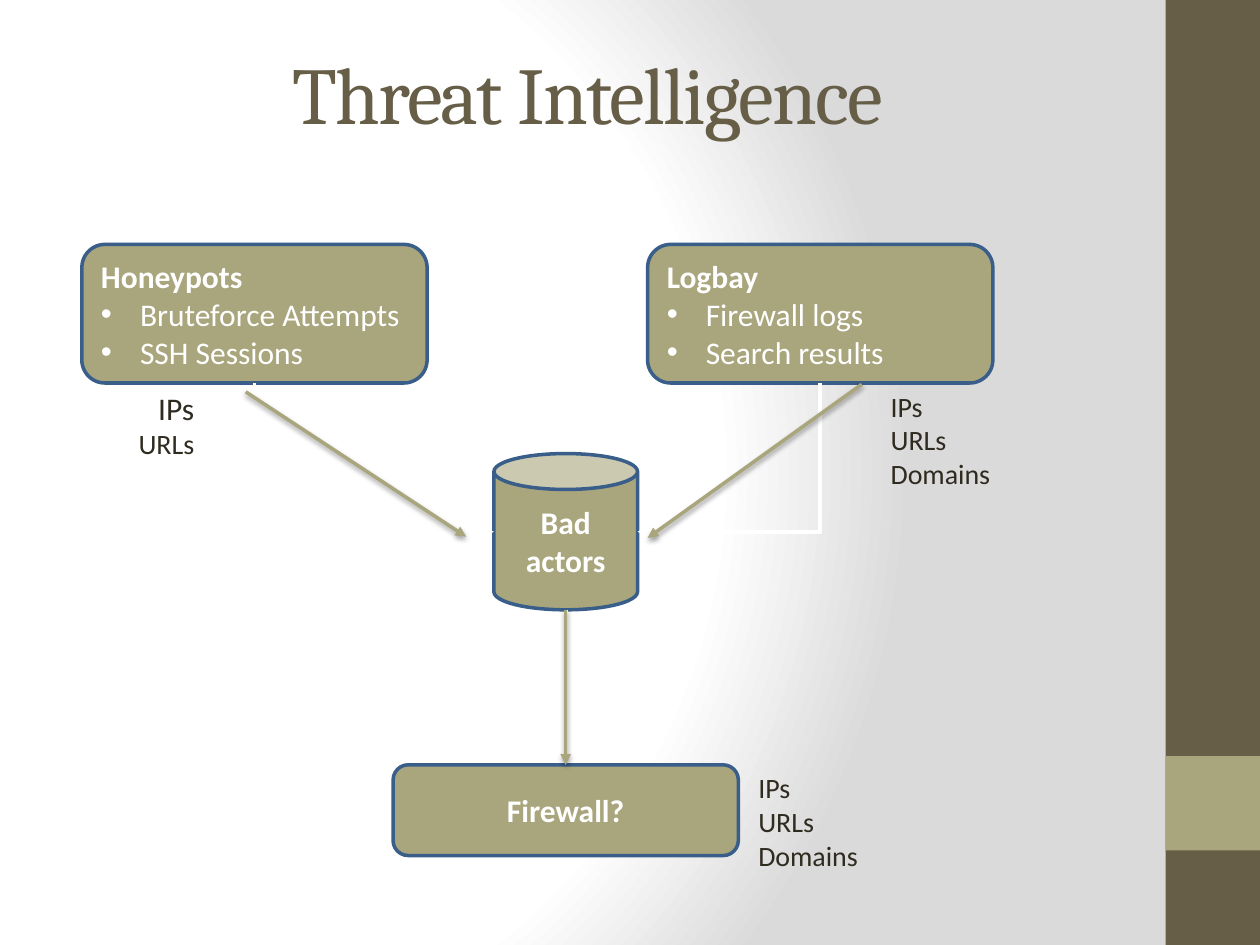
import pptx
import pptx.util
import pptx.dml.color
import pptx.enum.shapes
import pptx.enum.text
import pptx.oxml
import pptx.oxml.ns

Inches, Pt = pptx.util.Inches, pptx.util.Pt
RGB = pptx.dml.color.RGBColor
SHAPE = pptx.enum.shapes.MSO_SHAPE
LINK = pptx.enum.shapes.MSO_CONNECTOR
ALIGN = pptx.enum.text.PP_ALIGN
ANCHOR = pptx.enum.text.MSO_ANCHOR
qn = pptx.oxml.ns.qn
NS = pptx.oxml.ns.nsdecls("a")

BROWN = RGB(0x67, 0x5E, 0x47)
OLIVE = RGB(0xA9, 0xA5, 0x7C)
BLUE = RGB(0x39, 0x5E, 0x89)
INK = RGB(0x2F, 0x2B, 0x20)
WHITE = RGB(0xFF, 0xFF, 0xFF)
GREY = RGB(0xDA, 0xDA, 0xDA)


def xml(text):
    return pptx.oxml.parse_xml(text)


def style(para, size, color, bold=False, face="Calibri"):
    for run in para.runs:
        font = run.font
        font.name, font.size, font.bold = face, Pt(size), bold
        font.color.rgb = color


def backdrop(slide):
    slide.background.fill.solid()
    prop = slide.element.find(".//" + qn("p:bgPr"))
    stops = "".join(
        f'<a:gs pos="{pos}"><a:srgbClr val="{color}"/></a:gs>'
        for pos, color in ((0, WHITE), (75000, WHITE), (100000, GREY)))
    prop.replace(prop[0], xml(
        f'<a:gradFill {NS} rotWithShape="1"><a:gsLst>{stops}</a:gsLst>'
        '<a:path path="circle"><a:fillToRect l="20000" t="50000" '
        'r="100000" b="50000"/></a:path></a:gradFill>'))


def sidebar(slide, left, width, height):
    for top, tall, color in ((0, height, BROWN), (6, width, OLIVE)):
        band = slide.shapes.add_shape(
            SHAPE.RECTANGLE, Inches(left), Inches(top), Inches(width), Inches(tall))
        band.shadow.inherit = False
        band.fill.solid()
        band.fill.fore_color.rgb = color
        band.line.fill.background()


def heading(slide, text, left, top, width, height):
    title = slide.shapes.title
    title.left, title.top = Inches(left), Inches(top)
    title.width, title.height = Inches(width), Inches(height)
    frame = title.text_frame
    frame.text = text
    frame.vertical_anchor = ANCHOR.TOP
    para = frame.paragraphs[0]
    para.alignment = ALIGN.CENTER
    style(para, 46, BROWN, face="Cambria")
    para.runs[0].font._element.set("spc", "-100")


def node(slide, kind, head, items, left, top, width, height):
    """Outlined box with a bold head and optional bulleted items."""
    box = slide.shapes.add_shape(
        kind, Inches(left), Inches(top), Inches(width), Inches(height))
    box.shadow.inherit = False
    box.fill.solid()
    box.fill.fore_color.rgb = OLIVE
    box.line.color.rgb = BLUE
    box.line.width = Pt(2)
    frame = box.text_frame
    frame.word_wrap = True
    frame.vertical_anchor = ANCHOR.MIDDLE
    frame.text = "\n".join([head, *items])
    for pos, para in enumerate(frame.paragraphs):
        para.alignment = ALIGN.LEFT if items else ALIGN.CENTER
        if pos:
            prop = para._p.get_or_add_pPr()
            prop.set("marL", str(Inches(0.31)))
            prop.set("indent", str(-Inches(0.31)))
            prop.append(xml(f'<a:buFont {NS} typeface="Arial"/>'))
            prop.append(xml(f'<a:buChar {NS} char="•"/>'))
        style(para, 18, WHITE, bold=pos == 0)
    return box


def label(slide, lines, left, top, width, height, align=ALIGN.LEFT):
    """Text box from (word, size) lines."""
    box = slide.shapes.add_textbox(
        Inches(left), Inches(top), Inches(width), Inches(height))
    frame = box.text_frame
    frame.word_wrap = True
    frame.text = "\n".join(word for word, size in lines)
    for para, (word, size) in zip(frame.paragraphs, lines):
        para.alignment = align
        style(para, size, INK)


def arrow(slide, start, end, color, width, shade=False):
    line = slide.shapes.add_connector(
        LINK.STRAIGHT, *(Inches(v) for v in (*start, *end)))
    line.line.color.rgb = color
    line.line.width = Pt(width)
    prop = line._element.spPr
    prop.find(qn("a:ln")).append(xml(f'<a:tailEnd {NS} type="triangle"/>'))
    shadow = (
        f'<a:outerShdw blurRad="{Pt(3.1)}" dist="{Pt(1.6)}" dir="5400000" '
        'rotWithShape="0"><a:srgbClr val="000000"><a:alpha val="38000"/>'
        '</a:srgbClr></a:outerShdw>') if shade else ""
    prop.append(xml(f"<a:effectLst {NS}>{shadow}</a:effectLst>"))
    return line


def elbow(slide, start, end):
    """White arrow that runs down from start, then sideways to end."""
    line = arrow(slide, start, end, WHITE, 2.25)
    (x1, y1), (x2, y2) = start, end
    wide, tall = y2 - y1, abs(x2 - x1)
    prop = line._element.spPr
    prop.find(qn("a:prstGeom")).set("prst", "bentConnector2")
    form = prop.find(qn("a:xfrm"))
    right = x2 > x1
    form.set("rot", str((270 if right else 90) * 60000))
    form.set("flipH", "1" if right else "0")
    line.left = Inches((x1 + x2 - wide) / 2)
    line.top = Inches((y1 + y2 - tall) / 2)
    line.width, line.height = Inches(wide), Inches(tall)


def flow(slide, left, top):
    """Two sources feed a store, which feeds one target."""
    wide, tall = 2.74, 1.1
    mid = left + 3.84
    far = left + 4.49
    low = top + tall
    can, base = top + 1.66, top + 4.13
    hub = can + 0.62
    node(slide, SHAPE.ROUNDED_RECTANGLE, "Honeypots",
         ["Bruteforce Attempts", "SSH Sessions"], left, top, wide, tall)
    node(slide, SHAPE.ROUNDED_RECTANGLE, "Logbay",
         ["Firewall logs", "Search results"], far, top, wide, tall)
    node(slide, SHAPE.CAN, "Bad actors", [], mid - 0.57, can, 1.14, 1.24)
    goal = node(slide, SHAPE.ROUNDED_RECTANGLE, "Firewall?", [],
                mid - wide / 2, base, wide, 0.72)

    elbow(slide, (left + wide / 2, low), (mid - 0.57, hub))
    elbow(slide, (far + wide / 2, low), (mid + 0.57, hub))
    drop = (mid, can + 1.24), (mid, base)
    arrow(slide, *drop, WHITE, 2.25).end_connect(goal, 0)

    full = [(word, 16) for word in ("IPs", "URLs", "Domains")]
    label(slide, [("IPs", 18), ("URLs", 16)],
          left + 0.28, low, 0.71, 0.67, ALIGN.RIGHT)
    label(slide, full, far + 1.83, low, 1.19, 0.94)
    label(slide, full, mid + 1.43, base, 1.19, 0.94)

    arrow(slide, (left + 1.3, low + 0.07), (left + 3.05, low + 1.22), OLIVE, 2, True)
    arrow(slide, (far + 1.7, low + 0.01), (far, low + 1.23), OLIVE, 2, True)
    arrow(slide, *drop, OLIVE, 2, True).end_connect(goal, 0)


def main():
    deck = pptx.Presentation()
    deck.slide_width, deck.slide_height = Inches(10), Inches(7.5)
    slide = deck.slides.add_slide(deck.slide_layouts[5])
    backdrop(slide)
    sidebar(slide, 9.25, 0.75, 7.5)
    heading(slide, "Threat Intelligence", 0.5, 0.3, 8.33, 1.25)
    flow(slide, 0.65, 1.94)
    deck.save("out.pptx")


if __name__ == "__main__":
    main()
